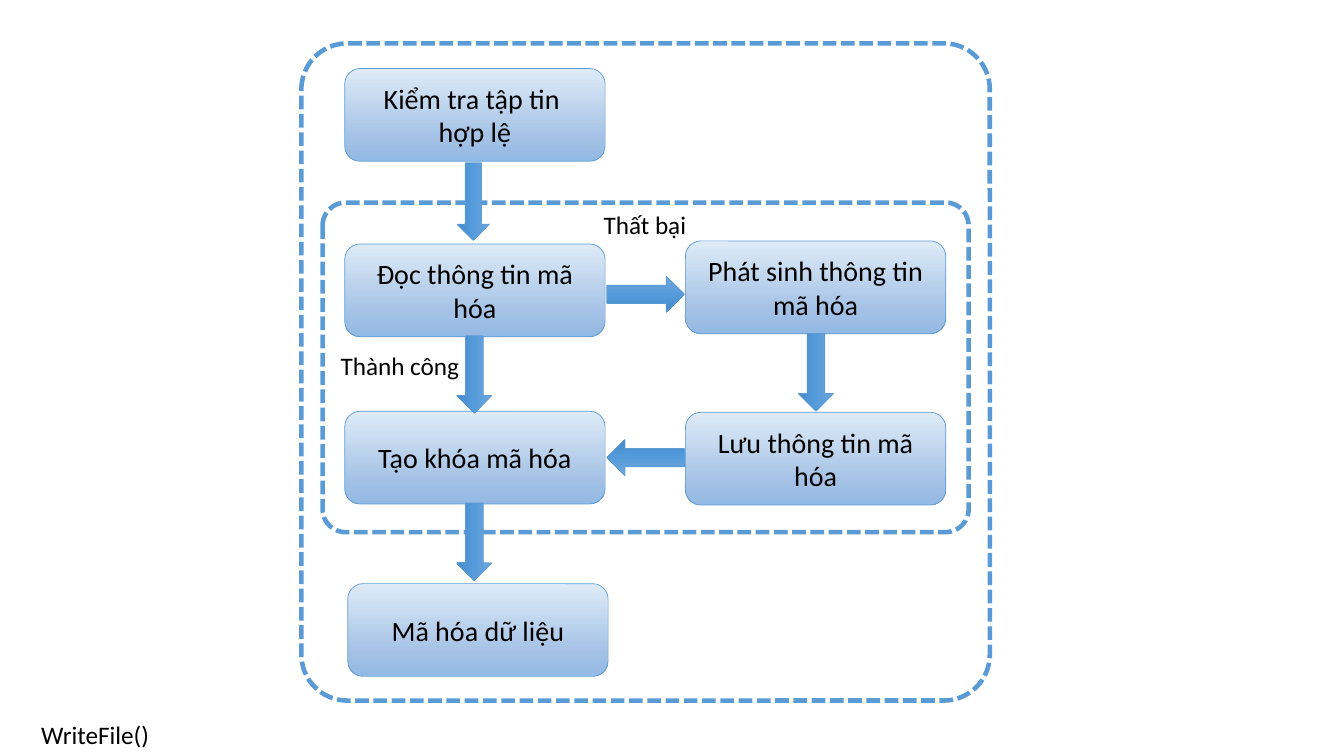
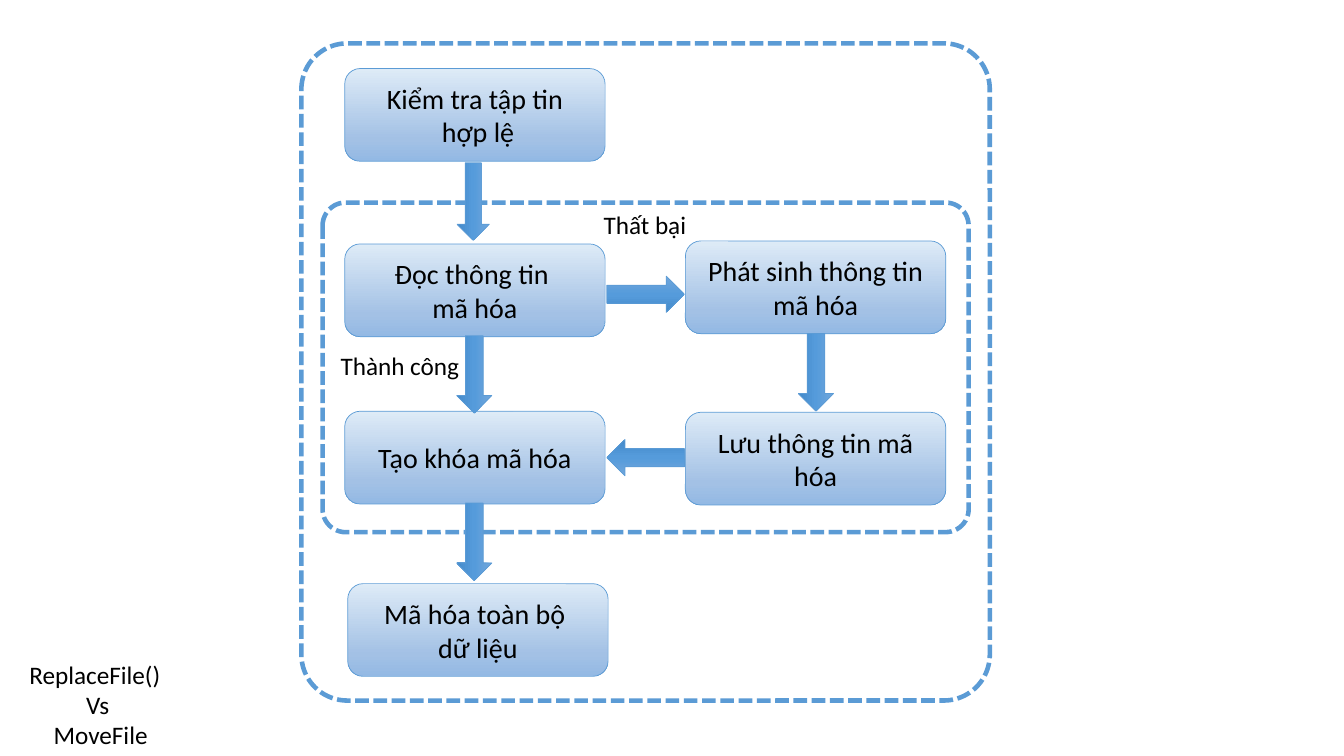
"""Build two flowchart slides describing the file encryption steps."""
from dataclasses import dataclass

import lxml.etree
import pptx
import pptx.dml.color
import pptx.enum.dml
import pptx.enum.shapes
import pptx.enum.text
import pptx.oxml.ns
import pptx.util

Pt = pptx.util.Pt
ShapeKind = pptx.enum.shapes.MSO_SHAPE
Align = pptx.enum.text.PP_ALIGN
Anchor = pptx.enum.text.MSO_ANCHOR

COLOURS = {
    "line": "5B9BD5", "text": "000000", "paper": "FFFFFF",
    "step_light": "DEEBF7", "step_mid": "A3C1E5", "step_dark": "93B9E4",
    "arrow_light": "71A6DB", "arrow_mid": "559BDB", "arrow_dark": "448ACA",
}
STEP_STOPS = ((0, "step_light"), (76, "step_mid"), (100, "step_dark"))
ARROW_STOPS = ((0, "arrow_light"), (50, "arrow_mid"), (100, "arrow_dark"))
FONT = "Calibri"
STEP_WIDTH, STEP_HEIGHT = 186, 66.24
ARROW_LENGTH = 55.44
LEFT_COLUMN, RIGHT_COLUMN = 246.24, 489.6
LEFT_AXIS, MIDDLE_AXIS, RIGHT_AXIS = 338.76, 461.16, 582.84


@dataclass(frozen=True)
class Frame:
    left: float
    top: float
    width: float
    height: float


@dataclass(frozen=True)
class Step:
    left: float
    top: float
    lines: tuple[str, ...]


@dataclass(frozen=True)
class Arrow:
    centre_x: float
    centre_y: float
    rotation: int
    thickness: float


@dataclass(frozen=True)
class Label:
    frame: Frame
    lines: tuple[str, ...]
    align: Align = Align.LEFT


@dataclass(frozen=True)
class Flow:
    check: tuple[str, ...]
    read: tuple[str, ...]
    encrypt: tuple[str, ...]
    note: Label


INNER_FRAME = Frame(230.4, 144.72, 461.52, 235.44)
OUTER_FRAME = Frame(215.28, 30.96, 491.76, 469.44)
ARROWS = (
    Arrow(338.04, 144, 90, 23.04),
    Arrow(LEFT_AXIS, 267.48, 90, 25.2),
    Arrow(MIDDLE_AXIS, 210.24, 0, 25.92),
    Arrow(LEFT_AXIS, 387, 90, 25.2),
    Arrow(RIGHT_AXIS, 266.04, 90, 25.2),
    Arrow(MIDDLE_AXIS, 326.88, 180, 25.92),
)
BRANCH_LABELS = (
    Label(Frame(236.16, 246.96, 100.08, 28.8), ("Thành công",)),
    Label(Frame(424.08, 146.16, 74.16, 28.8), ("Thất bại",)),
)
FLOWS = (
    Flow(
        check=("Kiểm tra tập tin ", "hợp lệ"),
        read=("Đọc thông tin mã hóa",),
        encrypt=("Mã hóa dữ liệu",),
        note=Label(Frame(22.32, 510.48, 92.16, 28.8), ("WriteFile()",)),
    ),
    Flow(
        check=("Kiểm tra tập tin", " hợp lệ"),
        read=("Đọc thông tin ", "mã hóa"),
        encrypt=("Mã hóa toàn bộ ", "dữ liệu"),
        note=Label(Frame(12.96, 467.28, 113.76, 72.72),
                   ("ReplaceFile() ", "Vs", " MoveFile"), Align.CENTER),
    ),
)


def rgb(name: str) -> pptx.dml.color.RGBColor:
    return pptx.dml.color.RGBColor.from_string(COLOURS[name])


def write_text(box, lines: tuple[str, ...], *, size: float, align: Align,
               anchor: Anchor, wrap: bool) -> None:
    text_frame = box.text_frame
    text_frame.word_wrap = wrap
    text_frame.vertical_anchor = anchor
    for index, line in enumerate(lines):
        para = text_frame.add_paragraph() if index else text_frame.paragraphs[0]
        para.alignment = align
        span = para.add_run()
        span.text = line
        span.font.name = FONT
        span.font.size = Pt(size)
        span.font.color.rgb = rgb("text")


def add_outlined(page, kind: ShapeKind, frame: Frame, line_width: float):
    shape = page.shapes.add_shape(kind, Pt(frame.left), Pt(frame.top),
                                  Pt(frame.width), Pt(frame.height))
    shape.shadow.inherit = False
    shape.line.color.rgb = rgb("line")
    shape.line.width = Pt(line_width)
    return shape


def fill_gradient(shape, stops: tuple[tuple[int, str], ...]) -> None:
    qn = pptx.oxml.ns.qn
    shape.fill.gradient()
    shape.fill.gradient_angle = 270
    stop_list = next(shape._element.iter(qn("a:gsLst")))
    for old_stop in list(stop_list):
        stop_list.remove(old_stop)
    for percent, name in stops:
        stop = lxml.etree.SubElement(stop_list, qn("a:gs"), pos=str(percent * 1000))
        lxml.etree.SubElement(stop, qn("a:srgbClr"), val=COLOURS[name])


def add_dashed_frame(page, frame: Frame, fill: str | None = None) -> None:
    shape = add_outlined(page, ShapeKind.ROUNDED_RECTANGLE, frame, 3.25)
    shape.adjustments[0] = 0.07
    shape.line.dash_style = pptx.enum.dml.MSO_LINE.SQUARE_DOT
    if fill:
        shape.fill.solid()
        shape.fill.fore_color.rgb = rgb(fill)
    else:
        shape.fill.background()


def add_step(page, step: Step) -> None:
    frame = Frame(step.left, step.top, STEP_WIDTH, STEP_HEIGHT)
    box = add_outlined(page, ShapeKind.ROUNDED_RECTANGLE, frame, 0.5)
    fill_gradient(box, STEP_STOPS)
    write_text(box, step.lines, size=20, align=Align.CENTER,
               anchor=Anchor.MIDDLE, wrap=True)


def add_arrow(page, arrow: Arrow) -> None:
    frame = Frame(arrow.centre_x - ARROW_LENGTH / 2,
                  arrow.centre_y - arrow.thickness / 2,
                  ARROW_LENGTH, arrow.thickness)
    shape = add_outlined(page, ShapeKind.RIGHT_ARROW, frame, 0.5)
    shape.rotation = arrow.rotation
    fill_gradient(shape, ARROW_STOPS)


def add_label(page, label: Label) -> None:
    frame = label.frame
    box = page.shapes.add_textbox(Pt(frame.left), Pt(frame.top),
                                  Pt(frame.width), Pt(frame.height))
    write_text(box, label.lines, size=18, align=label.align,
               anchor=Anchor.TOP, wrap=False)
    box.text_frame.auto_size = pptx.enum.text.MSO_AUTO_SIZE.SHAPE_TO_FIT_TEXT


def add_flow_page(deck, flow: Flow) -> None:
    page = deck.slides.add_slide(deck.slide_layouts[6])
    add_dashed_frame(page, INNER_FRAME, fill="paper")
    add_dashed_frame(page, OUTER_FRAME)
    steps = (
        Step(LEFT_COLUMN, 48.96, flow.check),
        Step(LEFT_COLUMN, 174.24, flow.read),
        Step(RIGHT_COLUMN, 172.08, ("Phát sinh thông tin mã hóa",)),
        Step(LEFT_COLUMN, 293.76, ("Tạo khóa mã hóa",)),
        Step(248.4, 416.88, flow.encrypt),
        Step(RIGHT_COLUMN, 294.48, ("Lưu thông tin mã hóa",)),
    )
    for step in steps:
        add_step(page, step)
    for arrow in ARROWS:
        add_arrow(page, arrow)
    for label in (flow.note, *BRANCH_LABELS):
        add_label(page, label)


def main() -> None:
    deck = pptx.Presentation()
    deck.slide_width, deck.slide_height = Pt(960), Pt(540)
    for flow in FLOWS:
        add_flow_page(deck, flow)
    deck.save("out.pptx")


if __name__ == "__main__":
    main()
